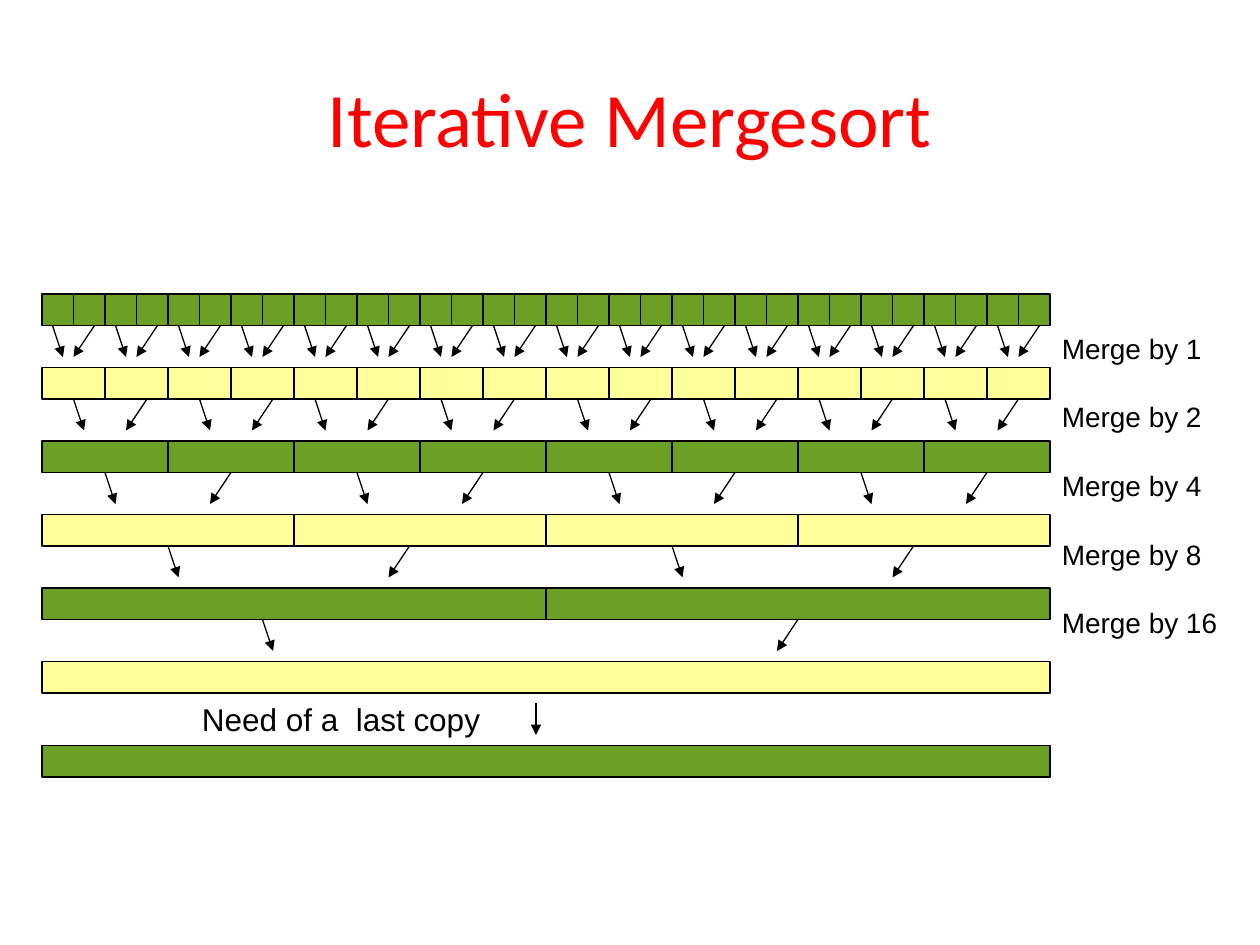
from lxml.etree import SubElement
from pptx import Presentation
from pptx.dml.color import RGBColor
from pptx.enum.shapes import MSO_CONNECTOR, MSO_SHAPE
from pptx.enum.text import MSO_ANCHOR, PP_ALIGN
from pptx.oxml.ns import qn
from pptx.util import Inches, Pt

COLORS = {"green": "6B9F25", "yellow": "FFFF99", "black": "000000", "red": "FF0000"}
BAR_HEIGHT = 0.25
ROW_PITCH = 7 / 12
LEVELS = 6
FIRST_ROW_CELLS = 32
LEFT_SHIFT, RIGHT_SHIFT = 1 / 12, -1 / 6
ARROW_PATTERNS = [
    (0.5, [(1 / 12, 5 / 12)]),
    (4, [(0.25, 5 / 6), (1.25, 11 / 6), (13 / 6, 2.75), (19 / 6, 3.75)]),
    (2, [(0.5, 1.5)]),
    (4, [(1, 35 / 12)]),
    (8, [(1.75, 6)]),
]


def color(name):
    return RGBColor.from_string(COLORS[name])


def add_text(slide, box, lines, font_format, paragraph_format, anchor=MSO_ANCHOR.TOP, wrap=True):
    shape = slide.shapes.add_textbox(*map(Inches, box))
    frame = shape.text_frame
    frame.word_wrap = wrap
    frame.vertical_anchor = anchor
    font_values = dict(font_format)
    font_color = font_values.pop("color")
    for index, line in enumerate(lines):
        paragraph = frame.paragraphs[0] if index == 0 else frame.add_paragraph()
        run = paragraph.add_run()
        run.text = line
        for name, value in font_values.items():
            setattr(run.font, name, value)
        run.font.color.rgb = color(font_color)
        for name, value in paragraph_format.items():
            if index or name != "space_before":
                setattr(paragraph, name, value)


def add_bar(slide, box, fill):
    shape = slide.shapes.add_shape(MSO_SHAPE.RECTANGLE, *map(Inches, box))
    shape.shadow.inherit = False
    shape.fill.solid()
    shape.fill.fore_color.rgb = color(fill)
    shape.line.color.rgb = color("black")
    shape.line.width = Pt(0.75)


def add_arrow(slide, start, end):
    points = map(Inches, (*start, *end))
    connector = slide.shapes.add_connector(MSO_CONNECTOR.STRAIGHT, *points)
    connector.line.color.rgb = color("black")
    connector.line.width = Pt(0.75)
    properties = connector._element.spPr
    SubElement(properties.find(qn("a:ln")), qn("a:tailEnd"), type="triangle")
    SubElement(properties, qn("a:effectLst"))


def add_row(slide, box, cells, fill):
    left, top, width, height = box
    cell_width = width / cells
    for index in range(cells):
        add_bar(slide, (left + index * cell_width, top, cell_width, height), fill)


def add_merge_arrows(slide, box, period, pairs):
    left, top, width, height = box
    for repeat in range(round(width / period)):
        for pair in pairs:
            for offset, shift in zip(pair, (LEFT_SHIFT, RIGHT_SHIFT)):
                x = left + repeat * period + offset
                add_arrow(slide, (x, top), (x + shift, top + height))


def add_merge_diagram(slide, box):
    left, top, width, height = box
    for level in range(LEVELS):
        row_top = top + level * ROW_PITCH
        fill = "yellow" if level % 2 else "green"
        add_row(slide, (left, row_top, width, BAR_HEIGHT), FIRST_ROW_CELLS >> level, fill)
    for level, (period, pairs) in enumerate(ARROW_PATTERNS):
        arrow_top = top + level * ROW_PITCH + BAR_HEIGHT
        add_merge_arrows(slide, (left, arrow_top, width, BAR_HEIGHT), period, pairs)
    copy_top = top + height - BAR_HEIGHT
    add_bar(slide, (left, copy_top, width, BAR_HEIGHT), "green")
    arrow_x = left + 3.92
    add_arrow(slide, (arrow_x, copy_top - 1 / 3), (arrow_x, copy_top - 1 / 12))
    add_text(slide, (left + 1.17, copy_top - 0.41, 3.42, 0.43), ["Need of a  last copy"],
             {"name": "Arial", "size": Pt(18), "color": "black"}, {})


def add_title(slide, box):
    add_text(slide, box, ["Iterative Mergesort"],
             {"name": "Calibri", "size": Pt(44), "color": "red"},
             {"alignment": PP_ALIGN.CENTER}, MSO_ANCHOR.MIDDLE)


def add_merge_labels(slide, box):
    labels = [f"Merge by {2 ** level}" for level in range(LEVELS - 1)]
    add_text(slide, box, labels,
             {"name": "Arial", "size": Pt(16), "color": "black"},
             {"space_before": Pt(20)}, wrap=False)


def main():
    presentation = Presentation()
    presentation.slide_width = Inches(10)
    presentation.slide_height = Inches(7.5)
    slide = presentation.slides.add_slide(presentation.slide_layouts[6])
    add_title(slide, (0.5, 0.3, 9, 1.25))
    add_merge_diagram(slide, (1 / 3, 7 / 3, 8, 23 / 6))
    add_merge_labels(slide, (8.33, 2.58, 1.44, 2.77))
    presentation.save("out.pptx")


if __name__ == "__main__":
    main()
